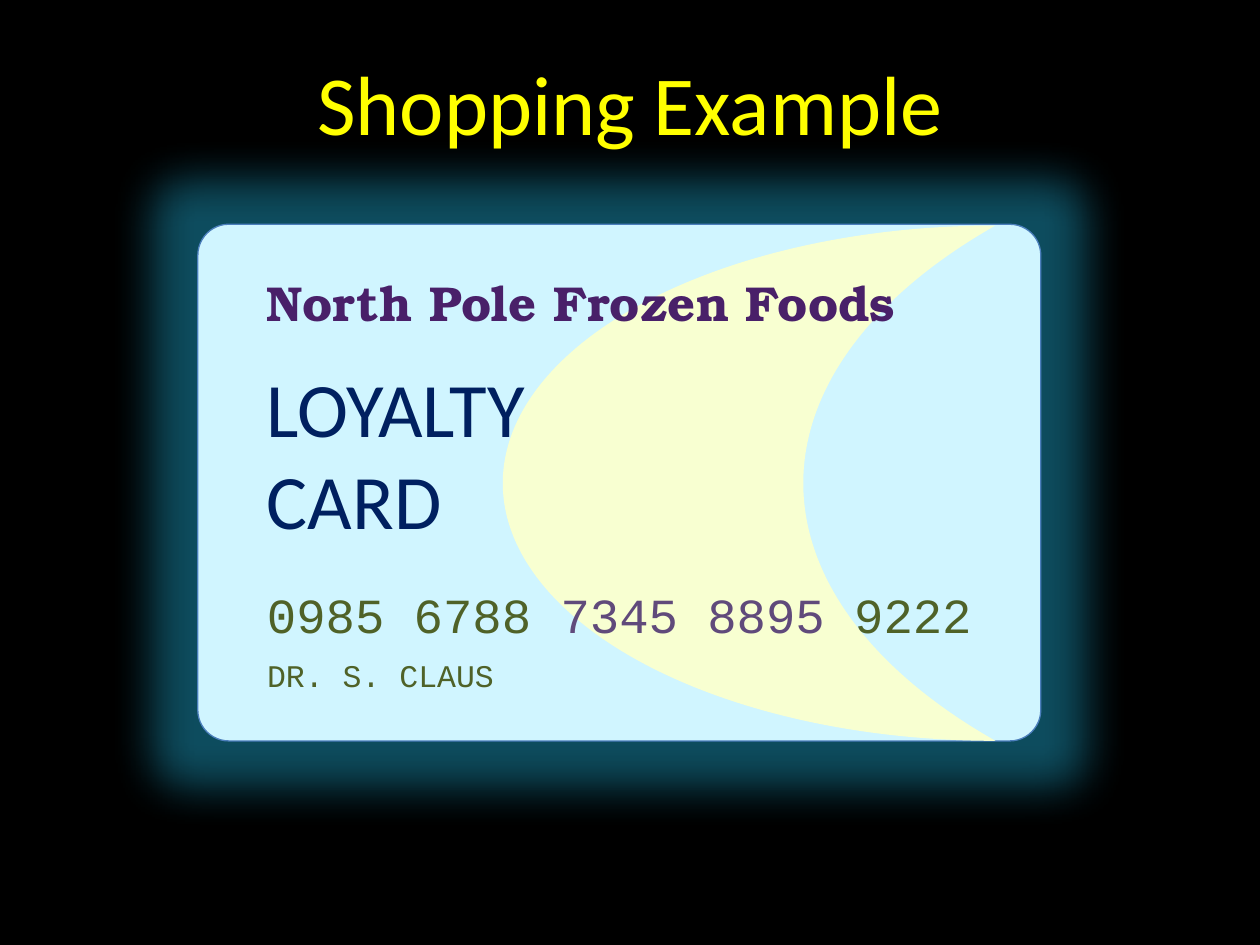
import pptx
import pptx.util
import pptx.dml.color
import pptx.enum.shapes
import pptx.enum.text
from lxml import etree

COLORS = {
    "background": "000000", "title": "FFFF00",
    "card": "D0F5FF", "border": "4B7EBC", "moon": "F8FFD1", "glow": "22BFEB",
    "shop": "492069", "loyalty": "002060", "green": "4F6228", "purple": "604A7B",
}
SANS, SERIF, MONO = "Calibri", "TeX Gyre Bonum", "Courier New"
GLOW_RADIUS, GLOW_ALPHA = 50, 40  # points, percent

# Boxes: left, top, width, height in percent of the slide
CARD_LEFT, CARD_TOP, CARD_WIDTH, CARD_HEIGHT = 15.7, 23.73, 66.9, 54.67
CARD = (CARD_LEFT, CARD_TOP, CARD_WIDTH, CARD_HEIGHT)
MOON = (39.9, 23.87, 39.1, 54.53)

# Texts: box, centred, paragraphs of (space before, line spacing, runs)
# with runs of (text, font, size, color, bold)
TEXTS = [
    ((20.2, 28.13, 64.2, 30.53), False, [
        (0, 1, [("North Pole Frozen Foods", SERIF, 28, "shop", True)]),
        (17, 1, [("LOYALTY", SANS, 44, "loyalty", False)]),
        (0, 1, [("CARD", SANS, 44, "loyalty", False)]),
    ]),
    ((CARD_LEFT, 61.2, CARD_WIDTH, 7.6), True, [
        (0, 1, [("0985 6788 ", MONO, 28, "green", False),
                ("7345 8895 ", MONO, 28, "purple", False),
                ("9222", MONO, 28, "green", False)]),
    ]),
    ((CARD_LEFT, 68.8, 29, 5.33), True, [
        (0, 1, [("DR. S. CLAUS", MONO, 18, "green", False)]),
    ]),
    ((0, 3.47, 100, 13.2), True, [
        (0, 1.12, [("Shopping Example", SANS, 48, "title", False)]),
    ]),
]

presentation = pptx.Presentation()
presentation.slide_width = pptx.util.Inches(10)
presentation.slide_height = pptx.util.Inches(7.5)
slide = presentation.slides.add_slide(presentation.slide_layouts[6])


def color(name):
    return pptx.dml.color.RGBColor.from_string(COLORS[name])


def place(box):
    sides = (presentation.slide_width, presentation.slide_height) * 2
    return [round(side * share / 100) for side, share in zip(sides, box)]


def add_shape(kind, box, fill, adjustment):
    shape = slide.shapes.add_shape(kind, *place(box))
    shape.adjustments[0] = adjustment
    shape.shadow.inherit = False
    shape.fill.solid()
    shape.fill.fore_color.rgb = color(fill)
    shape.line.fill.background()
    return shape


def add_effect(effects, tag, hex_color, alpha, **attributes):
    namespace = "{http://schemas.openxmlformats.org/drawingml/2006/main}"
    effect = etree.SubElement(effects, namespace + tag, attributes)
    tint = etree.SubElement(effect, namespace + "srgbClr", val=hex_color)
    etree.SubElement(tint, namespace + "alpha", val=str(alpha * 1000))


def add_text(box, centred, paragraphs):
    text_frame = slide.shapes.add_textbox(*place(box)).text_frame
    text_frame.word_wrap = True
    for index, (before, spacing, runs) in enumerate(paragraphs):
        paragraph = text_frame.add_paragraph() if index else text_frame.paragraphs[0]
        if before:
            paragraph.space_before = pptx.util.Pt(before)
        paragraph.line_spacing = float(spacing)
        if centred:
            paragraph.alignment = pptx.enum.text.PP_ALIGN.CENTER
        for text, font, size, color_name, bold in runs:
            run = paragraph.add_run()
            run.text = text
            run.font.name = font
            run.font.size = pptx.util.Pt(size)
            run.font.bold = bold
            run.font.color.rgb = color(color_name)


# Background
slide.background.fill.solid()
slide.background.fill.fore_color.rgb = color("background")

# Glowing card with its moon
shapes = pptx.enum.shapes.MSO_SHAPE
card = add_shape(shapes.ROUNDED_RECTANGLE, CARD, "card", 0.06)
card.line.color.rgb = color("border")
card.line.width = pptx.util.Pt(0.75)
effects = card._element.spPr.find(pptx.oxml.ns.qn("a:effectLst"))
add_effect(effects, "glow", COLORS["glow"], GLOW_ALPHA,
           rad=str(pptx.util.Pt(GLOW_RADIUS)))
add_effect(effects, "outerShdw", COLORS["background"], 35,
           blurRad=str(pptx.util.Pt(3.1)), dist=str(pptx.util.Pt(1.8)),
           dir="5400000", rotWithShape="0")
add_shape(shapes.MOON, MOON, "moon", 0.61)

# Card lettering and slide title
for box, centred, paragraphs in TEXTS:
    add_text(box, centred, paragraphs)

presentation.save("out.pptx")
